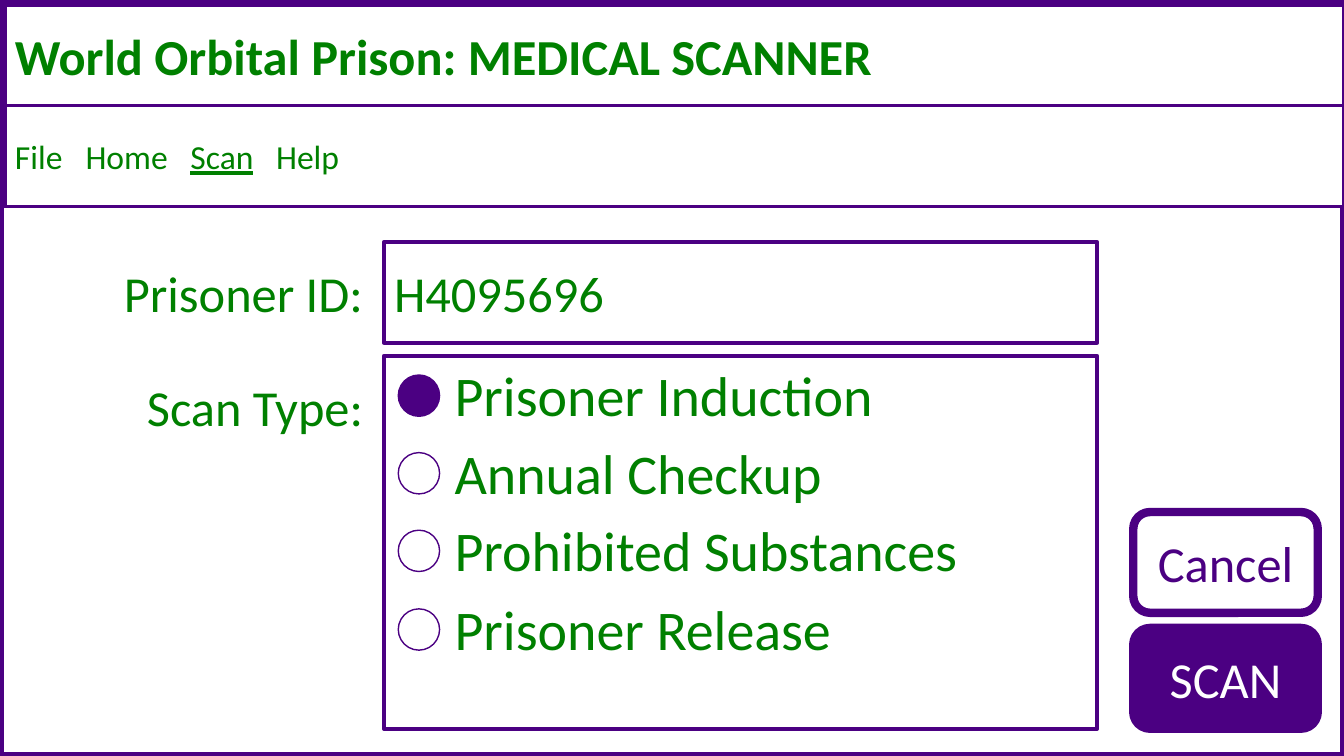
"""Build the medical scanner screen slide."""
from lxml import etree
from pptx import Presentation
from pptx.dml.color import RGBColor
from pptx.enum import shapes, text
from pptx.oxml.ns import qn
from pptx.util import Pt

PX = 9144
THEME = {
    "font": "Calibri",
    "indigo": RGBColor.from_string("4B0082"),
    "green": RGBColor.from_string("008000"),
    "white": RGBColor.from_string("FFFFFF"),
    "menu": 24, "body": 36, "option": 40,
}
INDIGO, GREEN, WHITE = THEME["indigo"], THEME["green"], THEME["white"]
KIND = shapes.MSO_SHAPE
ALIGN = text.PP_ALIGN


def add_box(kind, box, fill, line, width, corner=None):
    sp = slide.shapes.add_shape(kind, *[v * PX for v in box])
    sp.shadow.inherit = False
    if fill is None:
        sp.fill.background()
    else:
        sp.fill.solid()
        sp.fill.fore_color.rgb = fill
    sp.line.color.rgb = line
    sp.line.width = Pt(width)
    if corner is not None:
        sp.adjustments[0] = corner
    return sp


def write(sp, runs, align=ALIGN.LEFT, size="body", color=GREEN, **extra):
    tf = sp.text_frame
    tf.word_wrap = True
    p = tf.paragraphs[0]
    p.alignment = align
    for words, fmt in runs:
        r = p.add_run()
        r.text = words
        r.font.color.rgb = color
        values = {"name": THEME["font"], "size": Pt(THEME[size]), **extra, **fmt}
        for key, value in values.items():
            setattr(r.font, key, value)
    return p


prs = Presentation()
prs.slide_width, prs.slide_height = 1333 * PX, 750 * PX
slide = prs.slides.add_slide(prs.slide_layouts[6])

add_box(KIND.RECTANGLE, (0, 0, 1333, 750), WHITE, INDIGO, 6)

for label, top, fill, color in [("Cancel", 508, WHITE, INDIGO), ("SCAN", 623, INDIGO, WHITE)]:
    button = add_box(KIND.ROUNDED_RECTANGLE, (1124, top, 183, 100), fill, INDIGO, 6)
    write(button, [(label, {})], ALIGN.CENTER, color=color)

for label, value, top, height in [("Prisoner ID:", "H4095696", 240, 100),
                                  ("Scan Type:", "", 353, 370)]:
    field = add_box(KIND.ROUNDED_RECTANGLE, (381, top, 707, height), WHITE, INDIGO, 3, 0)
    if value:
        write(field, [(value, {})])
    caption = add_box(KIND.ROUNDED_RECTANGLE, (95, top, 275, 100), WHITE, WHITE, 1, 0)
    write(caption, [(label, {})], ALIGN.RIGHT)

title_bar, menu_bar = [
    add_box(KIND.ROUNDED_RECTANGLE, (5, top, 1328, 100), WHITE, INDIGO, 2.25, 0)
    for top in (5, 105)
]
write(title_bar, [("World Orbital Prison: MEDICAL SCANNER", {})], bold=True)
menu = write(menu_bar, [("File\tHome\t", {}), ("Scan", {"underline": True}), ("\tHelp", {})],
             size="menu")
tabs = etree.SubElement(menu._p.get_or_add_pPr(), qn("a:tabLst"))
for stop in (70, 174, 259):
    etree.SubElement(tabs, qn("a:tab"), pos=str(stop * PX), algn="l")

options = ["Prisoner Induction", "Annual Checkup", "Prohibited Substances", "Prisoner Release"]
for i, option in enumerate(options):
    top = 353 + i * 232 // 3
    add_box(KIND.OVAL, (395, top + 19, 41, 41), None if i else INDIGO, INDIGO, 1)
    s = slide.shapes.add_textbox(*[v * PX for v in (441, top, 642, 77)])
    write(s, [(option, {})], size="option")
    s.text_frame.auto_size = text.MSO_AUTO_SIZE.SHAPE_TO_FIT_TEXT

prs.save("out.pptx")
